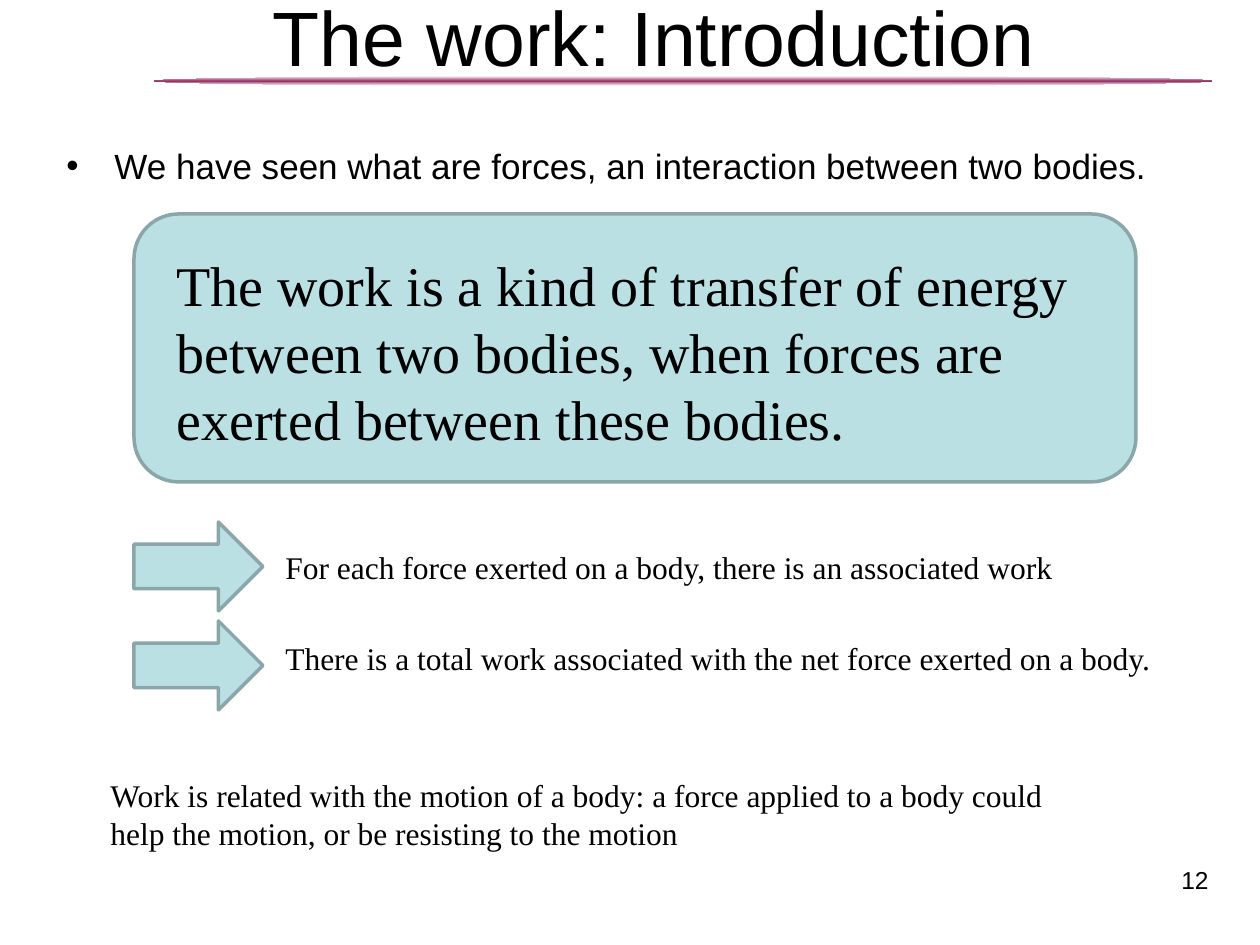
from dataclasses import dataclass

from lxml import etree
from pptx import Presentation
from pptx.dml.color import RGBColor
from pptx.enum.shapes import MSO_SHAPE
from pptx.enum.text import MSO_ANCHOR, PP_ALIGN
from pptx.oxml.ns import qn
from pptx.util import Emu, Pt

ROUNDED, ARROW, OVAL = MSO_SHAPE.ROUNDED_RECTANGLE, MSO_SHAPE.RIGHT_ARROW, MSO_SHAPE.OVAL
LEFT, CENTER, RIGHT = PP_ALIGN.LEFT, PP_ALIGN.CENTER, PP_ALIGN.RIGHT
TOP = MSO_ANCHOR.TOP
PX = 914400 // 126


@dataclass(frozen=True)
class Theme:
    ink: RGBColor = RGBColor(0x00, 0x00, 0x00)
    paper: RGBColor = RGBColor(0xFF, 0xFF, 0xFF)
    rule: RGBColor = RGBColor(0x99, 0x33, 0x66)
    panel: RGBColor = RGBColor(0xBB, 0xE0, 0xE3)
    outline: RGBColor = RGBColor(0x8A, 0xA6, 0xA8)
    sans: str = "Arial"
    serif: str = "Times New Roman"
    title: int = 44
    definition: int = 32
    bullet: int = 20
    note: int = 18
    number: int = 14


theme = Theme()


def write(box, text, font, size, align=LEFT):
    """Fill a text box with one wrapped paragraph and return the paragraph."""
    frame = box.text_frame
    frame.word_wrap = True
    frame.vertical_anchor = TOP
    para = frame.paragraphs[0]
    para.alignment = align
    span = para.add_run()
    span.text = text
    span.font.name = font
    span.font.size = Pt(size)
    span.font.color.rgb = theme.ink
    return para


def add_panel(kind, *place):
    panel = page.shapes.add_shape(kind, *[Emu(n * PX) for n in place])
    panel.shadow.inherit = False
    panel.fill.solid()
    panel.fill.fore_color.rgb = theme.panel
    panel.line.color.rgb = theme.outline
    panel.line.width = Pt(2)
    return panel


deck = Presentation()
deck.slide_width, deck.slide_height = Emu(1260 * PX), Emu(945 * PX)
page = deck.slides.add_slide(deck.slide_layouts[5])

# Title and the tapering rule beneath it
title = page.shapes.title
title.left, title.top, title.width, title.height = [Emu(n * PX) for n in (87, -24, 1134, 158)]
write(title, "The work: Introduction", theme.sans, theme.title, CENTER)
title.text_frame.margin_top = Emu(14 * PX)

rule = add_panel(OVAL, 154, 76, 1058, 10)
rule.line.fill.background()
rule.fill.gradient()
rule.fill.gradient_angle = 90
stops = rule.fill.gradient_stops
for stop, position, color in zip(stops, (0, 1), (theme.paper, theme.paper)):
    stop.position = position
    stop.color.rgb = color
stop_list = rule._element.spPr.find(qn("a:gradFill")).find(qn("a:gsLst"))
middle = etree.Element(qn("a:gs"), pos="50000")
etree.SubElement(middle, qn("a:srgbClr"), val=str(theme.rule))
stop_list.insert(1, middle)

# Panel and arrows
add_panel(ROUNDED, 134, 214, 1002, 268)
for top in (522, 621):
    add_panel(ARROW, 134, top, 129, 89)

# Text
texts = [
    ((54, 138, 1134, 50), "We have seen what are forces, an interaction between two bodies.",
     theme.sans, theme.bullet, LEFT),
    ((164, 244, 942, 217), "The work is a kind of transfer of energy between two bodies, "
     "when forces are exerted between these bodies.", theme.serif, theme.definition, LEFT),
    ((273, 542, 1022, 50), "For each force exerted on a body, there is an associated work",
     theme.serif, theme.note, LEFT),
    ((273, 633, 1022, 50), "There is a total work associated with the net force exerted on a body.",
     theme.serif, theme.note, LEFT),
    ((98, 770, 969, 89), "Work is related with the motion of a body: a force applied to a body "
     "could help the motion, or be resisting to the motion", theme.serif, theme.note, LEFT),
    ((927, 859, 294, 57), "12", theme.sans, theme.number, RIGHT),
]
paras = []
for place, *content in texts:
    box = page.shapes.add_textbox(*[Emu(n * PX) for n in place])
    paras.append(write(box, *content))

bullet = paras[0]._p.get_or_add_pPr()
bullet.set("marL", str(48 * PX))
bullet.set("indent", str(-48 * PX))
etree.SubElement(bullet, qn("a:buFont"), typeface=theme.sans)
etree.SubElement(bullet, qn("a:buChar"), char="•")

deck.save("out.pptx")
